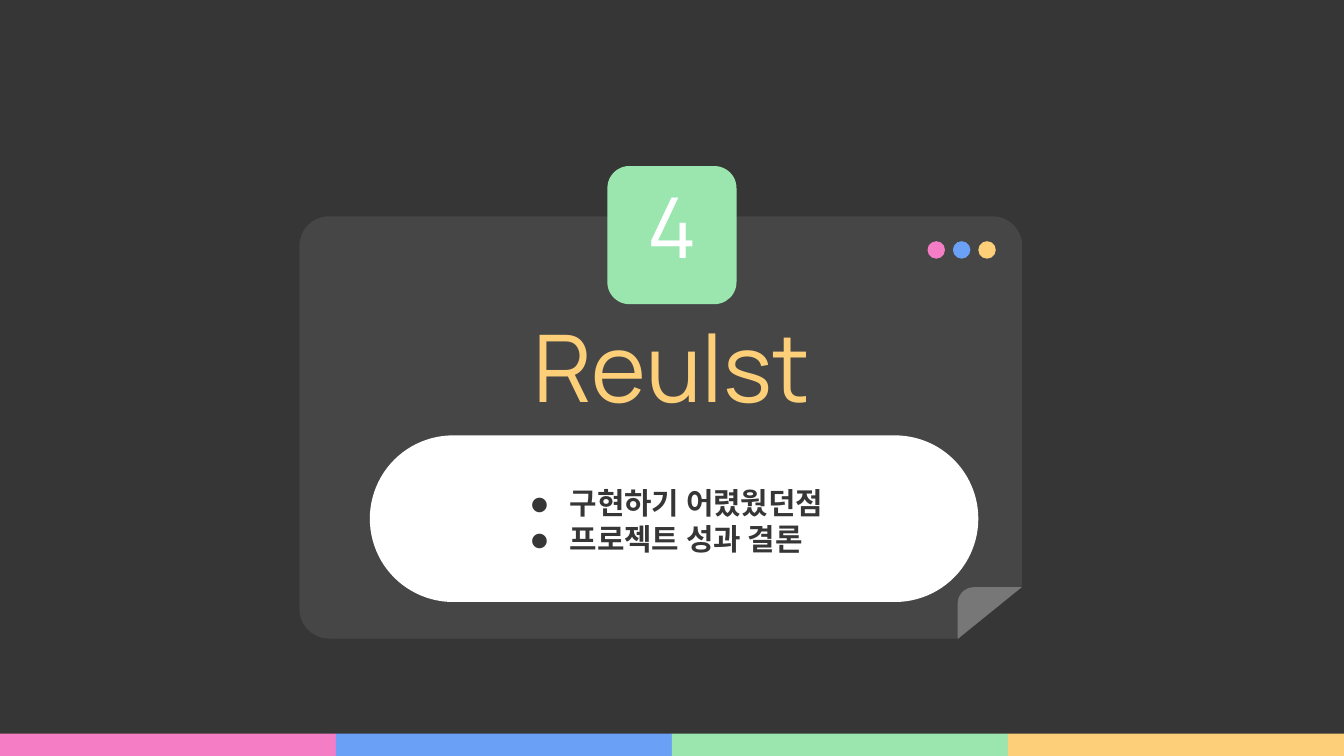
"""Build the section slide for part 4, a note card with its topics."""
import math

from lxml import etree
from pptx import Presentation
from pptx import util as u
from pptx.dml import color
from pptx.enum import shapes, text
from pptx.oxml import ns

COLORS = {
    "background": "363636",
    "card": "464646",
    "curl": "777777",
    "white": "FFFFFF",
    "pink": "F57DC6",
    "blue": "6AA1F7",
    "green": "9AE6AE",
    "yellow": "FCCF78",
}
KIND = shapes.MSO_SHAPE
TOPICS = ["구현하기 어렸웠던점", "프로젝트 성과 결론"]


def rgb(name):
    return color.RGBColor.from_string(COLORS[name])


def paint(shape, fill):
    shape.shadow.inherit = False
    shape.fill.solid()
    shape.fill.fore_color.rgb = rgb(fill)
    shape.line.fill.background()


def add_block(slide, kind, box, fill, rounding=None):
    block = slide.shapes.add_shape(kind, *map(u.Cm, box))
    paint(block, fill)
    if rounding is not None:
        block.adjustments[0] = rounding
    return block


def add_words(slide, box, lines, size, font, fill, bold=False, align=text.PP_ALIGN.CENTER):
    words = slide.shapes.add_textbox(*map(u.Cm, box))
    frame = words.text_frame
    frame.word_wrap = True
    frame.vertical_anchor = text.MSO_ANCHOR.MIDDLE
    frame.margin_left = frame.margin_right = u.Cm(0.25)
    frame.margin_top = frame.margin_bottom = u.Cm(0.25)
    frame.text = "\n".join(lines)
    for paragraph in frame.paragraphs:
        paragraph.alignment = align
        for run in paragraph.runs:
            run.font.size = u.Pt(size)
            run.font.name = font
            run.font.bold = bold
            run.font.color.rgb = rgb(fill)
    return frame


def add_bullets(frame, indent):
    for paragraph in frame.paragraphs:
        properties = paragraph._p.get_or_add_pPr()
        properties.set("marL", str(u.Cm(indent)))
        properties.set("indent", str(-u.Cm(indent)))
        etree.SubElement(properties, ns.qn("a:buFont")).set("typeface", "Lato")
        etree.SubElement(properties, ns.qn("a:buChar")).set("char", "●")


def add_page_curl(slide, left, top, width, height, radius):
    corner = add_block(slide, KIND.RIGHT_TRIANGLE, (left, top, width, height), "background")
    corner._element.spPr.find(ns.qn("a:xfrm")).set("flipH", "1")
    corner.line.color.rgb = rgb("background")
    corner.line.width = u.Pt(0.75)

    angles = [math.radians(degrees) for degrees in range(0, 91, 10)]
    arc = [(left + radius * (1 - math.cos(a)), top + radius * (1 - math.sin(a))) for a in angles]
    outline = [(left, top + height), *arc, (left + width, top)]
    points = [(u.Cm(x), u.Cm(y)) for x, y in outline]
    builder = slide.shapes.build_freeform(*points[0])
    builder.add_line_segments(points[1:], close=True)
    paint(builder.convert_to_shape(), "curl")


def add_stripes(slide):
    for i, fill in enumerate(["pink", "blue", "green", "yellow"]):
        add_block(slide, KIND.RECTANGLE, (6.35 * i, 13.87, 6.35, 0.42), fill)


def add_card(slide):
    add_block(slide, KIND.ROUNDED_RECTANGLE, (5.66, 4.09, 13.66, 7.98), "card", 0.07)
    for i, fill in enumerate(["pink", "blue", "yellow"]):
        add_block(slide, KIND.OVAL, (17.53 + 0.48 * i, 4.56, 0.33, 0.33), fill)
    add_page_curl(slide, 18.1, 11.1, 1.21, 0.98, 0.31)


def main():
    deck = Presentation()
    deck.slide_width, deck.slide_height = u.Cm(25.4), u.Cm(14.29)
    slide = deck.slides.add_slide(deck.slide_layouts[6])
    slide.background.fill.solid()
    slide.background.fill.fore_color.rgb = rgb("background")

    add_stripes(slide)
    add_card(slide)
    add_block(slide, KIND.ROUNDED_RECTANGLE, (6.99, 8.23, 11.5, 3.15), "white", 0.5)
    add_words(slide, (5.66, 5.74, 14.07, 2.34), ["Reulst"], 50, "Manrope", "yellow")
    topics = add_words(slide, (9.78, 8.51, 11.35, 2.67), TOPICS, 16, "Lato", "background",
                       bold=True, align=text.PP_ALIGN.LEFT)
    add_bullets(topics, 0.74)
    add_block(slide, KIND.ROUNDED_RECTANGLE, (11.48, 3.14, 2.44, 2.61), "green", 0.17)
    add_words(slide, (11.43, 3.68, 2.54, 1.14), ["4"], 45, "Manrope", "white")
    deck.save("out.pptx")


if __name__ == "__main__":
    main()
